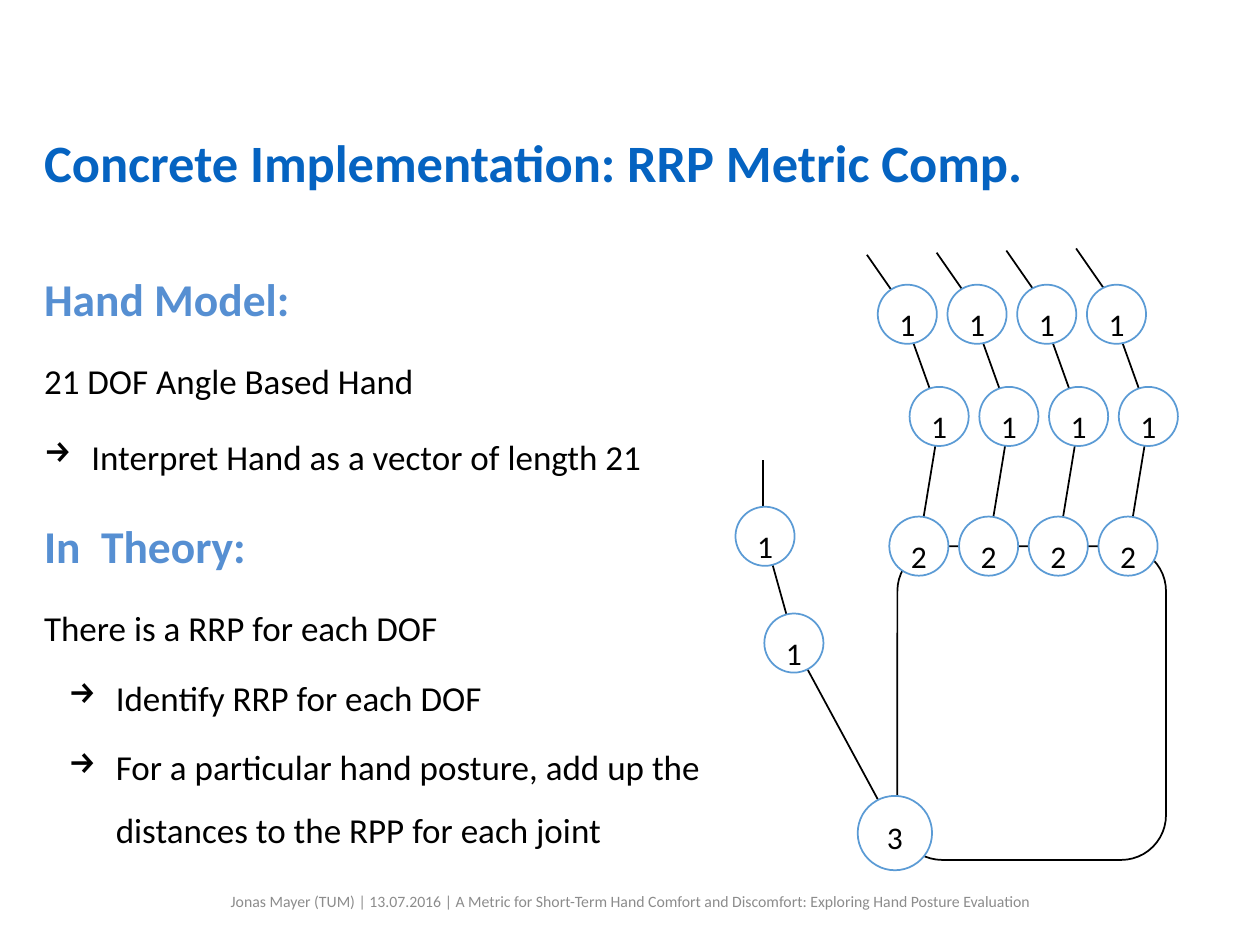
from lxml import etree
from pptx import Presentation
from pptx.dml.color import RGBColor
from pptx.enum.shapes import MSO_CONNECTOR, MSO_SHAPE
from pptx.enum.text import MSO_ANCHOR, PP_ALIGN
from pptx.oxml.ns import qn
from pptx.util import Pt

STRAIGHT = MSO_CONNECTOR.STRAIGHT
CIRCLE = MSO_SHAPE.FLOWCHART_CONNECTOR
ROUNDED = MSO_SHAPE.ROUNDED_RECTANGLE
TOP, MIDDLE = MSO_ANCHOR.TOP, MSO_ANCHOR.MIDDLE
LEFT, CENTER = PP_ALIGN.LEFT, PP_ALIGN.CENTER

BLACK = RGBColor(0x00, 0x00, 0x00)
WHITE = RGBColor(0xFF, 0xFF, 0xFF)
GRAY = RGBColor(0x8C, 0x8C, 0x8C)
TITLE_BLUE = RGBColor(0x05, 0x63, 0xC1)
HEADING_BLUE = RGBColor(0x56, 0x8F, 0xD2)
JOINT_BLUE = RGBColor(0x5B, 0x9B, 0xD5)

FONT = "Calibri"
HEADING = {"size": Pt(26), "bold": True}
BODY = {"size": Pt(20), "bold": False}
BULLET_INDENT = 27
JOINT_SIZE = 33.8
FINGER_COUNT = 4
FINGER_STEP = 39.84
TIP_RISE = 1.2

BODY_LINES = [
    ("Hand Model:", HEADING, HEADING_BLUE, None, 0),
    ("21 DOF Angle Based Hand", BODY, BLACK, None, 7.5),
    ("Interpret Hand as a vector of length 21", BODY, BLACK, 27, 7.5),
    ("In  Theory:", HEADING, HEADING_BLUE, None, 7.5),
    ("There is a RRP for each DOF", BODY, BLACK, None, 7.5),
    ("Identify RRP for each DOF", BODY, BLACK, 41, 3.8),
    ("For a particular hand posture, add up the distances to the RPP for each joint",
     BODY, BLACK, 41, 3.8),
]


def set_values(target, values):
    for name, value in values.items():
        setattr(target, name, value)


def add_box(page, left, top, width, height, frame_values):
    box = page.shapes.add_textbox(Pt(left), Pt(top), Pt(width), Pt(height))
    set_values(box.text_frame, {"word_wrap": True, **frame_values})
    return box.text_frame


def write_para(para, text, font_values, color, para_values):
    set_values(para, para_values)
    span = para.add_run()
    span.text = text
    set_values(span.font, {"name": FONT, **font_values})
    span.font.color.rgb = color


def add_bullet(para, margin):
    properties = para._p.get_or_add_pPr()
    properties.set("marL", str(Pt(margin)))
    properties.set("indent", str(Pt(-BULLET_INDENT)))
    etree.SubElement(properties, qn("a:buChar")).set("char", "→")


def add_body(page):
    frame = add_box(page, 25.2, 139, 381.6, 370, dict.fromkeys(
        ("margin_left", "margin_top", "margin_right", "margin_bottom"), 0))
    for index, (text, font_values, color, margin, gap) in enumerate(BODY_LINES):
        para = frame.add_paragraph() if index else frame.paragraphs[0]
        if margin is not None:
            add_bullet(para, margin)
        write_para(para, text, font_values, color,
                   {"line_spacing": 1.5, "space_before": Pt(gap)})


def add_outlined(page, kind, left, top, width, height, color):
    shape = page.shapes.add_shape(kind, Pt(left), Pt(top), Pt(width), Pt(height))
    shape.shadow.inherit = False
    shape.fill.solid()
    shape.fill.fore_color.rgb = WHITE
    shape.line.color.rgb = color
    shape.line.width = Pt(1)
    return shape


def add_joint(page, left, top, freedom, size=JOINT_SIZE):
    joint = add_outlined(page, CIRCLE, left, top, size, size, JOINT_BLUE)
    joint.text_frame.vertical_anchor = TOP
    write_para(joint.text_frame.paragraphs[0], freedom, {"size": Pt(18)}, BLACK,
               {"alignment": CENTER, "line_spacing": 1.14})


def add_bone(page, *ends):
    bone = page.shapes.add_connector(STRAIGHT, *(Pt(end) for end in ends))
    bone.line.color.rgb = BLACK
    bone.line.width = Pt(1)
    etree.SubElement(bone._element.spPr, qn("a:effectLst"))


def add_fingers(page):
    offsets = [finger * FINGER_STEP for finger in range(FINGER_COUNT)]
    for offset in offsets:
        add_bone(page, 537.1 + offset, 239, 525 + offset, 312.5)
        add_bone(page, 537.1 + offset, 238.3, 515.4 + offset, 177.8)
        add_joint(page, 519.8 + offset, 221.1, "1")
        add_joint(page, 508.2 + offset, 295.2, "2")
    for finger, offset in enumerate(offsets):
        rise = finger * TIP_RISE
        add_bone(page, 519.8 + offset, 180.7 - rise, 495.4 + offset, 145.6 - rise)
    for offset in offsets:
        add_joint(page, 501.6 + offset, 162.7, "1")


def add_thumb(page):
    add_bone(page, 512, 476, 453.6, 368)
    add_bone(page, 437, 306.7, 454.3, 368.6)
    add_bone(page, 435.9, 303, 435.9, 262.8)
    add_joint(page, 490.1, 454.8, "3", 42.5)
    add_joint(page, 436.8, 350.6, "1")
    add_joint(page, 420.3, 289.6, "1")


def main():
    deck = Presentation()
    set_values(deck, {"slide_width": Pt(720), "slide_height": Pt(540)})
    page = deck.slides.add_slide(deck.slide_layouts[6])

    add_body(page)
    footer = add_box(page, 49.7, 500.4, 620.6, 28.8, {"vertical_anchor": MIDDLE})
    write_para(footer.paragraphs[0],
               "Jonas Mayer (TUM) | 13.07.2016 | A Metric for Short-Term Hand Comfort "
               "and Discomfort: Exploring Hand Posture Evaluation",
               {"size": Pt(9)}, GRAY, {"alignment": CENTER})
    title = add_box(page, 25.2, 78.5, 670.3, 32.4, dict.fromkeys(
        ("margin_left", "margin_top", "margin_right", "margin_bottom"), 0))
    write_para(title.paragraphs[0], "Concrete Implementation: RRP Metric Comp.",
               {"size": Pt(30), "bold": True}, TITLE_BLUE,
               {"alignment": LEFT, "line_spacing": Pt(32)})

    add_outlined(page, ROUNDED, 512.8, 312.2, 153.5, 179.2, BLACK)
    add_fingers(page)
    add_thumb(page)
    deck.save("out.pptx")


if __name__ == "__main__":
    main()
